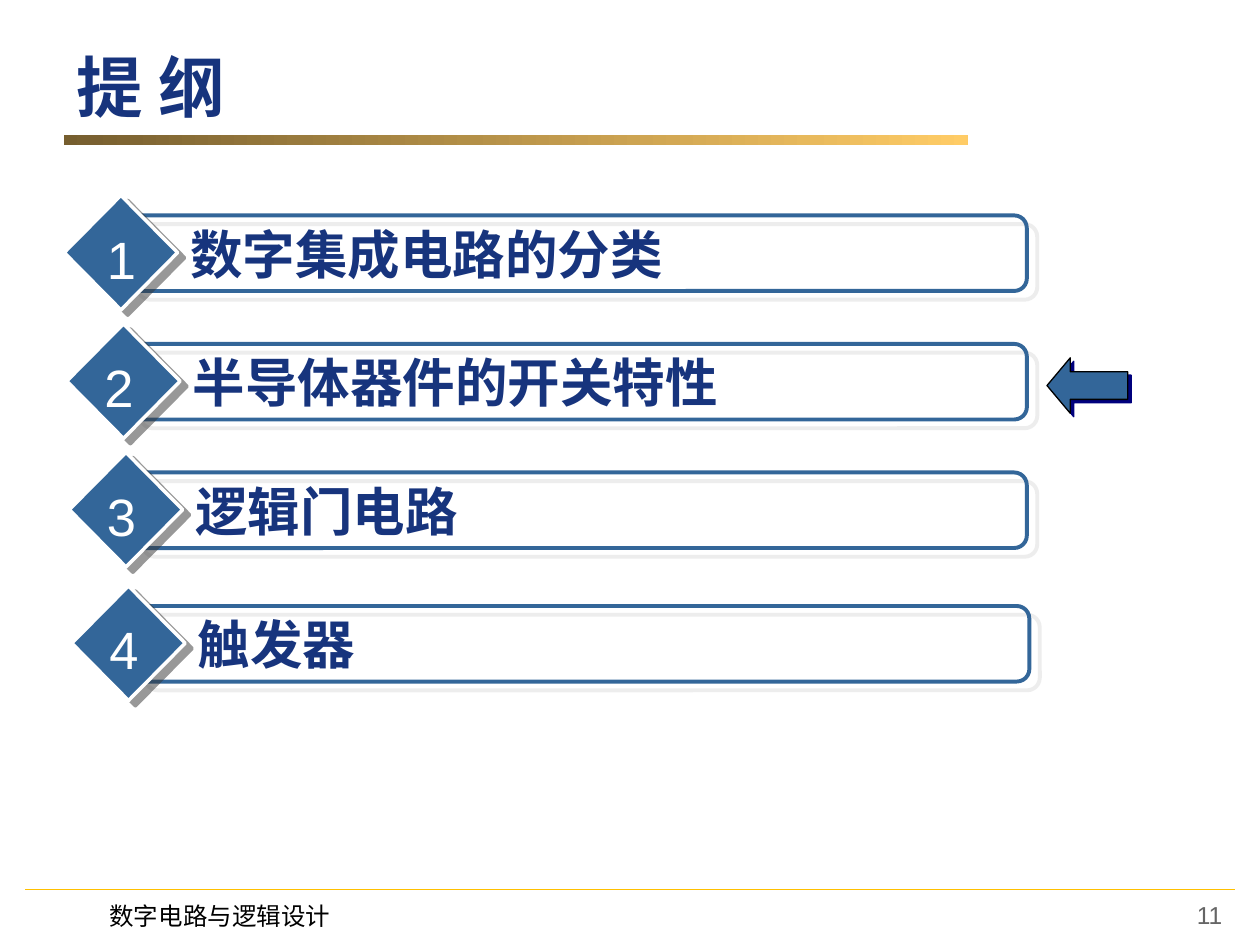
from dataclasses import dataclass

from lxml import etree
from pptx import Presentation
from pptx.dml.color import RGBColor
from pptx.enum import shapes as s, text as t
from pptx.oxml.ns import qn
from pptx.util import Inches, Pt

CJK, LATIN = "Noto Sans CJK SC", "Arial"
NAVY, BLUE, WHITE = "17347D", "336699", "FFFFFF"


@dataclass
class Item:
    num: str
    label: str
    left: float
    top: float
    num_left: float
    right: float = 8.15


@dataclass
class Shade:
    color: str
    alpha: int
    dist: float
    angle: int


BAR_SHADE = Shade("DDDDDD", 50, 7.8, 40)
GEM_SHADE = Shade("333333", 50, 5, 37)
ARROW_SHADE = Shade("00007D", 100, 2.8, 45)

ITEMS = [
    Item("1", "数字集成电路的分类", 0.51, 1.55, 0.75),
    Item("2", "半导体器件的开关特性", 0.53, 2.57, 0.73),
    Item("3", "逻辑门电路", 0.55, 3.59, 0.75),
    Item("4", "触发器", 0.57, 4.65, 0.77, 8.17),
]


def rgb(code: str) -> RGBColor:
    return RGBColor.from_string(code)


def style(frame, size: float, font: str, color: str, bold: bool = False) -> None:
    for run in frame.paragraphs[0].runs:
        run.font.size, run.font.name, run.font.bold = Pt(size), font, bold
        run.font.color.rgb = rgb(color)
        east = etree.SubElement(run._r.get_or_add_rPr(), qn("a:ea"))
        east.set("typeface", font)


def add_text(slide, box: tuple, words: str, size: float, font: str,
             color: str, bold: bool = False, inset: float = 0.1):
    frame = slide.shapes.add_textbox(*map(Inches, box)).text_frame
    frame.word_wrap = True
    frame.margin_left = Inches(inset)
    frame.text = words
    style(frame, size, font, color, bold)
    return frame


def add_shade(shape, shade: Shade) -> None:
    shape.shadow.inherit = False
    effects = shape._element.spPr.find(qn("a:effectLst"))
    outer = etree.SubElement(effects, qn("a:outerShdw"), blurRad="0",
                             dist=str(Pt(shade.dist)), dir=str(shade.angle * 60000),
                             algn="ctr", rotWithShape="0")
    color = etree.SubElement(outer, qn("a:srgbClr"), val=shade.color)
    etree.SubElement(color, qn("a:alpha"), val=str(shade.alpha * 1000))


def add_form(slide, kind, box: tuple, fill: str | None, line: str,
             width: float, shade: Shade):
    shape = slide.shapes.add_shape(kind, *map(Inches, box))
    if fill:
        shape.fill.solid()
        shape.fill.fore_color.rgb = rgb(fill)
    else:
        shape.fill.background()
    shape.line.color.rgb = rgb(line)
    shape.line.width = Pt(width)
    add_shade(shape, shade)
    return shape


def add_item(slide, item: Item) -> None:
    left, top = item.left, item.top
    bar = (left + 0.5, top + 0.16, item.right - left - 0.5, 0.6)
    add_form(slide, s.MSO_SHAPE.ROUNDED_RECTANGLE, bar, None, BLUE, 2.25, BAR_SHADE)
    add_form(slide, s.MSO_SHAPE.DIAMOND, (left, top, 0.9, 0.91),
             BLUE, WHITE, 2, GEM_SHADE)
    add_text(slide, (left + 0.8, top + 0.16, 6.82, 0.6), item.label,
             30, CJK, NAVY, True, 0.2)
    add_text(slide, (item.num_left, top + 0.2, 0.47, 0.61), item.num,
             30, LATIN, WHITE)


def add_title(slide, words: str) -> None:
    title = slide.shapes.title
    title.left, title.top = Inches(0.51), Inches(0.3)
    title.width, title.height = Inches(8.98), Inches(0.77)
    frame = title.text_frame
    frame.text = words
    frame.auto_size = t.MSO_AUTO_SIZE.NONE
    frame.vertical_anchor = t.MSO_ANCHOR.MIDDLE
    frame.paragraphs[0].alignment = t.PP_ALIGN.LEFT
    style(frame, 38, CJK, NAVY, True)


def add_frame(slide) -> None:
    # Footer rule
    rule = slide.shapes.add_connector(s.MSO_CONNECTOR.STRAIGHT, Inches(0.2),
                                      Inches(7.06), Inches(9.8), Inches(7.06))
    rule.line.color.rgb = rgb("FFC000")
    rule.line.width = Pt(0.75)
    etree.SubElement(rule._element.spPr, qn("a:effectLst"))

    # Gradient band under the title
    band = slide.shapes.add_shape(s.MSO_SHAPE.RECTANGLE, Inches(0.51),
                                  Inches(1.07), Inches(7.17), Inches(0.08))
    band.shadow.inherit = False
    band.line.fill.background()
    band.fill.gradient()
    band.fill.gradient_angle = 0
    for stop, color in zip(band.fill.gradient_stops, ("765E2F", "FFCC66")):
        stop.color.rgb = rgb(color)

    # Footer texts
    add_text(slide, (0.77, 7.1, 2.09, 0.34), "数字电路与逻辑设计", 14, CJK, "000000")
    page = add_text(slide, (7.47, 7.09, 2.33, 0.52), "11", 14, LATIN, "656565")
    page.paragraphs[0].alignment = t.PP_ALIGN.RIGHT


def main() -> None:
    deck = Presentation()
    deck.slide_width, deck.slide_height = Inches(10), Inches(7.5)
    slide = deck.slides.add_slide(deck.slide_layouts[5])
    add_frame(slide)
    add_title(slide, "提 纲")
    for item in ITEMS:
        add_item(slide, item)

    # Arrow at the current topic
    arrow = add_form(slide, s.MSO_SHAPE.LEFT_ARROW, (8.31, 2.84, 0.64, 0.44),
                     BLUE, "000000", 0.75, ARROW_SHADE)
    arrow.adjustments[1] = 0.42
    deck.save("out.pptx")


if __name__ == "__main__":
    main()
